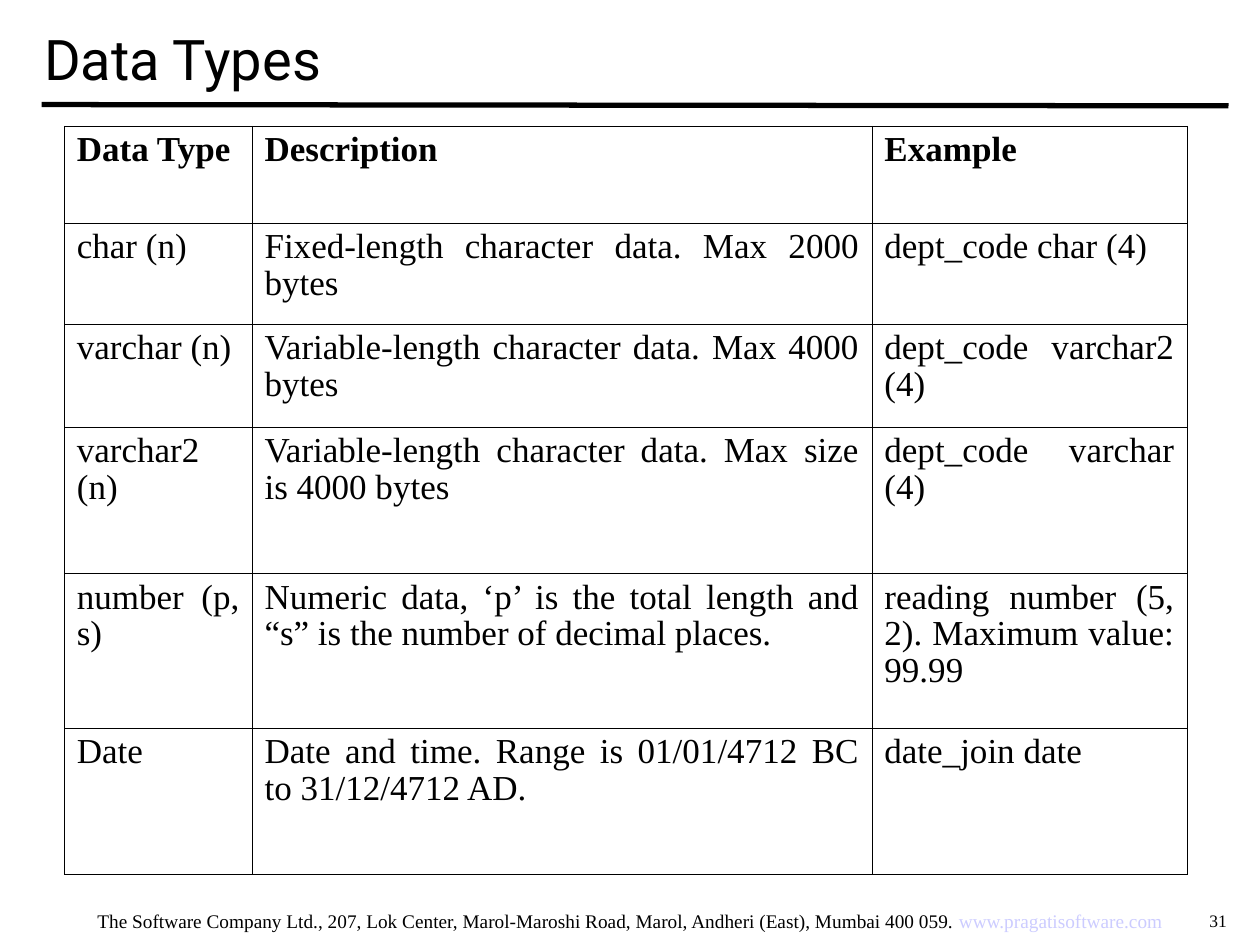
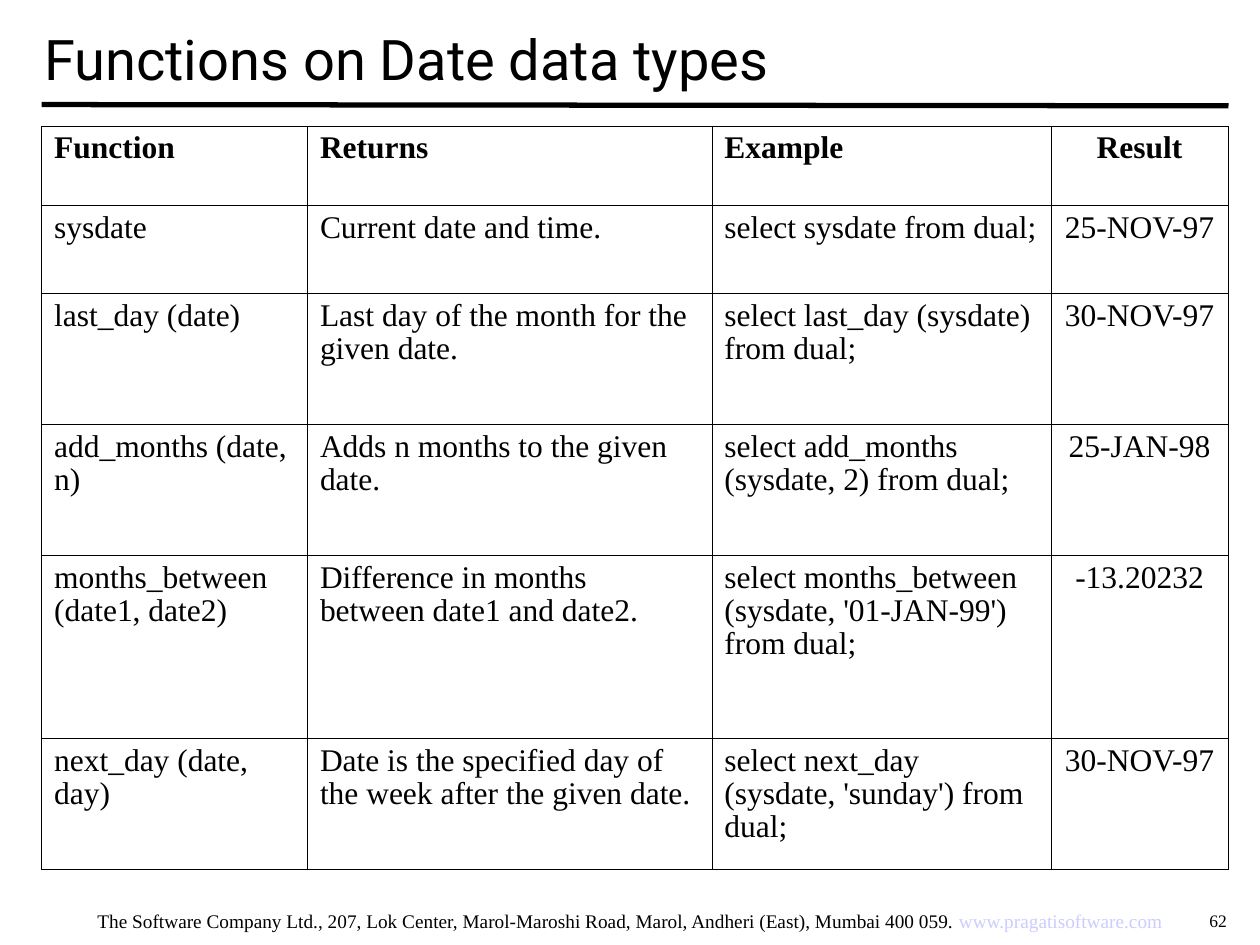
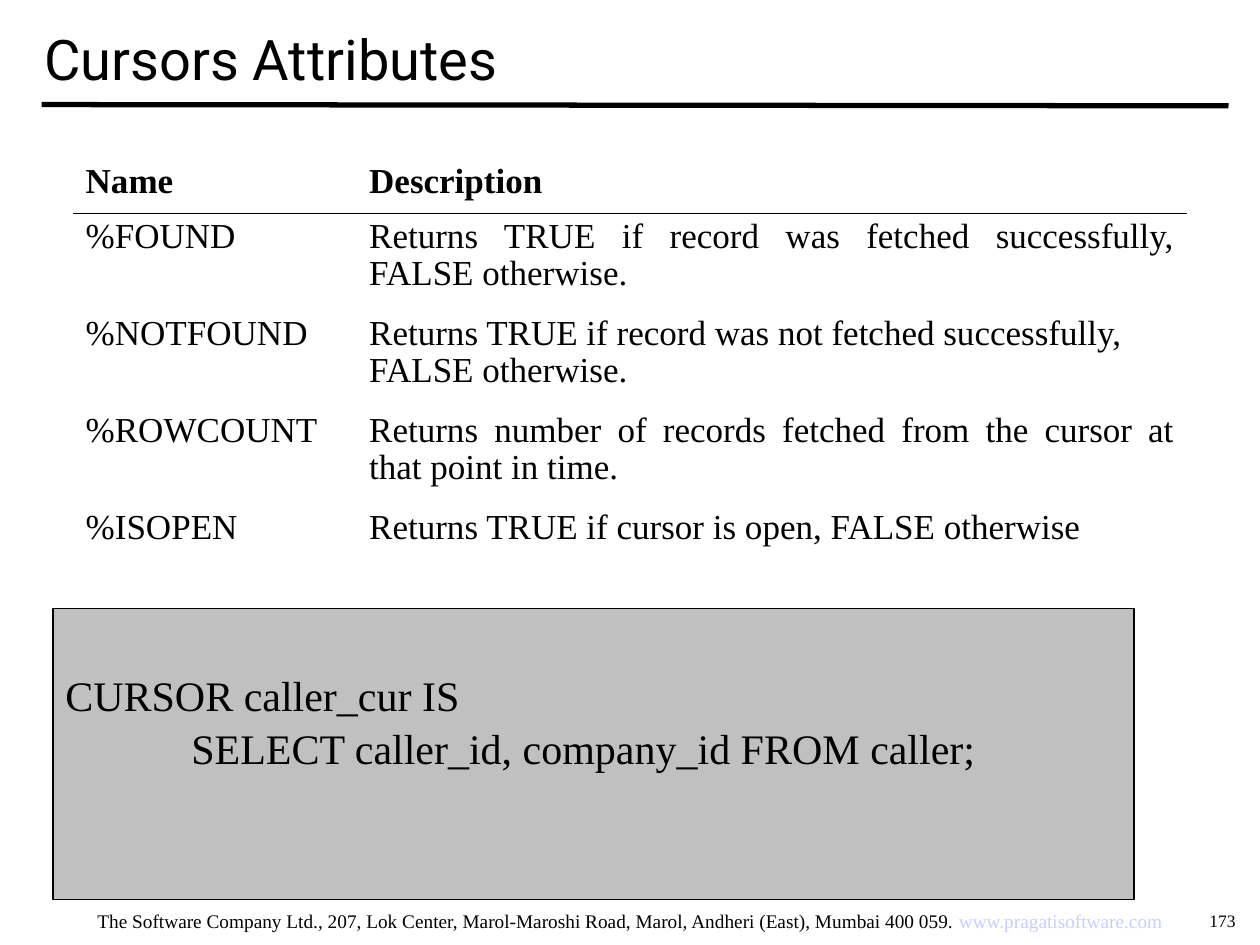
import lxml.etree
import pptx
import pptx.dml.color
import pptx.enum.shapes
import pptx.enum.text
import pptx.oxml.ns
import pptx.util

Inches = pptx.util.Inches
Pt = pptx.util.Pt
RGBColor = pptx.dml.color.RGBColor
ALIGN = pptx.enum.text.PP_ALIGN
ANCHOR = pptx.enum.text.MSO_ANCHOR
qn = pptx.oxml.ns.qn

BLACK = RGBColor(0x00, 0x00, 0x00)
WHITE = RGBColor(0xFF, 0xFF, 0xFF)
LINK_LILAC = RGBColor(0xCC, 0xCC, 0xFF)
CODE_GREY = RGBColor(0xC0, 0xC0, 0xC0)

TITLE_FONT = {"name": "Roboto", "size": Pt(32), "bold": False}
FOOTER_FONT = {"name": "Times New Roman", "size": Pt(11)}
NUMBER_FONT = {"name": "Times New Roman", "size": Pt(10)}
CODE_FONT = {"name": "Times New Roman", "size": Pt(24)}
BODY_FRAME = {
    "margin_left": Inches(0.1), "margin_right": Inches(0.1),
    "margin_top": Inches(0.05), "margin_bottom": Inches(0.05),
    "word_wrap": True, "vertical_anchor": ANCHOR.TOP,
}

TITLE_BOX = (0.25, 0, 9.5, 0.92)
RULE_ENDS = (0.33, 0.83, 9.75, 0.84)
FOOTER_BOX = (0, 7.17, 10, 0.29)
NUMBER_BOX = (9.5, 7.17, 0.5, 0.27)
ADDRESS = ("The Software Company Ltd., 207, Lok Center, Marol-Maroshi Road, "
           "Marol, Andheri (East), Mumbai 400 059. ")
WEBSITE = "www.pragatisoftware.com"

GRID_SIDES = "LRTB"
GRID_WIDTH = 0.23

DATA_TYPES = {
    "at": (0.51, 1),
    "columns": (1.49, 4.92, 2.5),
    "heights": (0.77, 0.8, 0.82, 1.16, 1.23, 1.16),
    "size": 20,
    "aligns": (ALIGN.JUSTIFY,) * 3,
    "rows": (
        ("Data Type", "Description", "Example"),
        ("char (n)", "Fixed-length character data. Max 2000 bytes",
         "dept_code char (4)"),
        ("varchar (n)", "Variable-length character data. Max 4000 bytes",
         "dept_code varchar2 (4)"),
        ("varchar2 (n)", "Variable-length character data. Max size is 4000 bytes",
         "dept_code varchar (4)"),
        ("number (p, s)",
         "Numeric data, ‘p’ is the total length and “s” is the number of decimal places. ",
         "reading number (5, 2). Maximum value: 99.99"),
        ("Date", "Date and time. Range is 01/01/4712 BC to 31/12/4712 AD.",
         "date_join date"),
    ),
}

DATE_FUNCTIONS = {
    "at": (0.33, 1),
    "columns": (2.11, 3.21, 2.69, 1.41),
    "heights": (0.63, 0.7, 1.04, 1.04, 1.45, 1.04),
    "size": 18,
    "aligns": (ALIGN.LEFT,) * 3 + (ALIGN.CENTER,),
    "rows": (
        ("Function", "Returns", "Example", "Result"),
        ("sysdate", "Current date and time.", "select sysdate from dual;", "25-NOV-97"),
        ("last_day (date)", "Last day of the month for the given date.",
         "select last_day (sysdate) from dual;", "30-NOV-97"),
        ("add_months (date, n)", "Adds n months to the given date.",
         "select add_months (sysdate, 2) from dual;", "25-JAN-98"),
        ("months_between (date1, date2)",
         "Difference in months between date1 and date2.",
         "select months_between (sysdate, '01-JAN-99') from dual;", "-13.20232"),
        ("next_day (date, day)",
         "Date is the specified day of the week after the given date.",
         "select next_day (sysdate, 'sunday') from dual;", "30-NOV-97"),
    ),
}

CURSOR_ATTRIBUTES = {
    "at": (0.58, 1.25),
    "columns": (2.25, 6.59),
    "heights": (0.44, 0.77, 0.77, 0.77, 0.56),
    "size": 20,
    "aligns": (ALIGN.JUSTIFY,) * 2,
    "align_exceptions": {(2, 1): ALIGN.LEFT},
    "row_sides": {0: "B", 1: "T"},
    "default_sides": "",
    "rows": (
        ("Name", "Description"),
        ("%FOUND", "Returns TRUE if record was fetched successfully, FALSE otherwise."),
        ("%NOTFOUND",
         "Returns TRUE if record was not fetched successfully, FALSE otherwise."),
        ("%ROWCOUNT",
         "Returns number of records fetched from the cursor at that point in time."),
        ("%ISOPEN", "Returns TRUE if cursor is open, FALSE otherwise"),
    ),
}

CURSOR_CODE = ("CURSOR caller_cur IS", "\t\tSELECT caller_id, company_id FROM caller;")
CODE_BOX = (0.42, 4.83, 8.58, 2.31)


def apply_format(target, values):
    for name, value in values.items():
        setattr(target, name, value)


def inches(values):
    return [Inches(value) for value in values]


def add_run(paragraph, text, font, color=BLACK):
    run = paragraph.add_run()
    run.text = text
    apply_format(run.font, font)
    run.font.color.rgb = color


def add_title(slide, text, box):
    title = slide.shapes.title
    apply_format(title, dict(zip(("left", "top", "width", "height"), inches(box))))
    apply_format(title.text_frame, BODY_FRAME | {"vertical_anchor": ANCHOR.MIDDLE})
    paragraph = title.text_frame.paragraphs[0]
    paragraph.alignment = ALIGN.LEFT
    add_run(paragraph, text, TITLE_FONT)


def add_title_rule(slide, ends):
    rule = slide.shapes.add_connector(
        pptx.enum.shapes.MSO_CONNECTOR.STRAIGHT, *inches(ends))
    rule.line.color.rgb = BLACK
    rule.line.width = Pt(3)
    lxml.etree.SubElement(rule._element.spPr, qn("a:effectLst"))


def add_footer_text(slide, box, alignment, font, parts):
    """Write (text, colour) parts on one line."""
    frame = slide.shapes.add_textbox(*inches(box)).text_frame
    apply_format(frame, BODY_FRAME)
    frame.paragraphs[0].alignment = alignment
    for text, color in parts:
        add_run(frame.paragraphs[0], text, font, color)


def set_borders(cell, sides):
    """Rule the named sides of a cell and clear the others."""
    properties = cell._tc.get_or_add_tcPr()
    for index, side in enumerate(GRID_SIDES):
        border = lxml.etree.Element(qn(f"a:ln{side}"), w=str(Pt(GRID_WIDTH)))
        if side in sides:
            fill = lxml.etree.SubElement(border, qn("a:solidFill"))
            lxml.etree.SubElement(fill, qn("a:srgbClr"), val=str(BLACK))
        else:
            lxml.etree.SubElement(border, qn("a:noFill"))
        properties.insert(index, border)


def add_reference_table(slide, content):
    rows, columns, heights = content["rows"], content["columns"], content["heights"]
    box = (*content["at"], sum(columns), sum(heights))
    table = slide.shapes.add_table(len(rows), len(columns), *inches(box)).table
    apply_format(table, {"first_row": False, "horz_banding": False})
    for column, width in zip(table.columns, columns):
        column.width = Inches(width)
    for row, height in zip(table.rows, heights):
        row.height = Inches(height)

    default_sides = content.get("default_sides", GRID_SIDES)
    exceptions = content.get("align_exceptions", {})
    for r, texts in enumerate(rows):
        font = {"name": "Times New Roman", "size": Pt(content["size"]), "bold": r == 0}
        for c, text in enumerate(texts):
            cell = table.cell(r, c)
            cell.fill.background()
            set_borders(cell, content.get("row_sides", {}).get(r, default_sides))
            paragraph = cell.text_frame.paragraphs[0]
            apply_format(paragraph, {
                "alignment": exceptions.get((r, c), content["aligns"][c]),
                "line_spacing": 0.95,
            })
            add_run(paragraph, text, font)


def add_code_panel(slide, lines, box):
    panel = slide.shapes.add_shape(
        pptx.enum.shapes.MSO_SHAPE.RECTANGLE, *inches(box))
    panel.shadow.inherit = False
    panel.fill.solid()
    panel.fill.fore_color.rgb = CODE_GREY
    panel.line.color.rgb = BLACK
    panel.line.width = Pt(0.75)
    frame = panel.text_frame
    apply_format(frame, BODY_FRAME | {"margin_top": Inches(0.48)})
    for index, line in enumerate(lines):
        paragraph = frame.add_paragraph() if index else frame.paragraphs[0]
        paragraph.alignment = ALIGN.LEFT
        if index:
            paragraph.space_before = Pt(1.5)
        add_run(paragraph, line, CODE_FONT)


def add_reference_slide(deck, title, number, content):
    slide = deck.slides.add_slide(deck.slide_layouts[5])
    slide.background.fill.solid()
    slide.background.fill.fore_color.rgb = WHITE
    add_title_rule(slide, RULE_ENDS)
    add_footer_text(slide, FOOTER_BOX, ALIGN.CENTER, FOOTER_FONT,
                    ((ADDRESS, BLACK), (WEBSITE, LINK_LILAC)))
    add_footer_text(slide, NUMBER_BOX, ALIGN.LEFT, NUMBER_FONT, ((number, BLACK),))
    add_title(slide, title, TITLE_BOX)
    add_reference_table(slide, content)
    return slide


def main():
    deck = pptx.Presentation()
    apply_format(deck, {"slide_width": Inches(10), "slide_height": Inches(7.5)})
    add_reference_slide(deck, "Data Types", "31", DATA_TYPES)
    add_reference_slide(deck, "Functions on Date data types", "62", DATE_FUNCTIONS)
    cursors = add_reference_slide(deck, "Cursors Attributes", "173", CURSOR_ATTRIBUTES)
    add_code_panel(cursors, CURSOR_CODE, CODE_BOX)
    deck.save("out.pptx")


if __name__ == "__main__":
    main()
